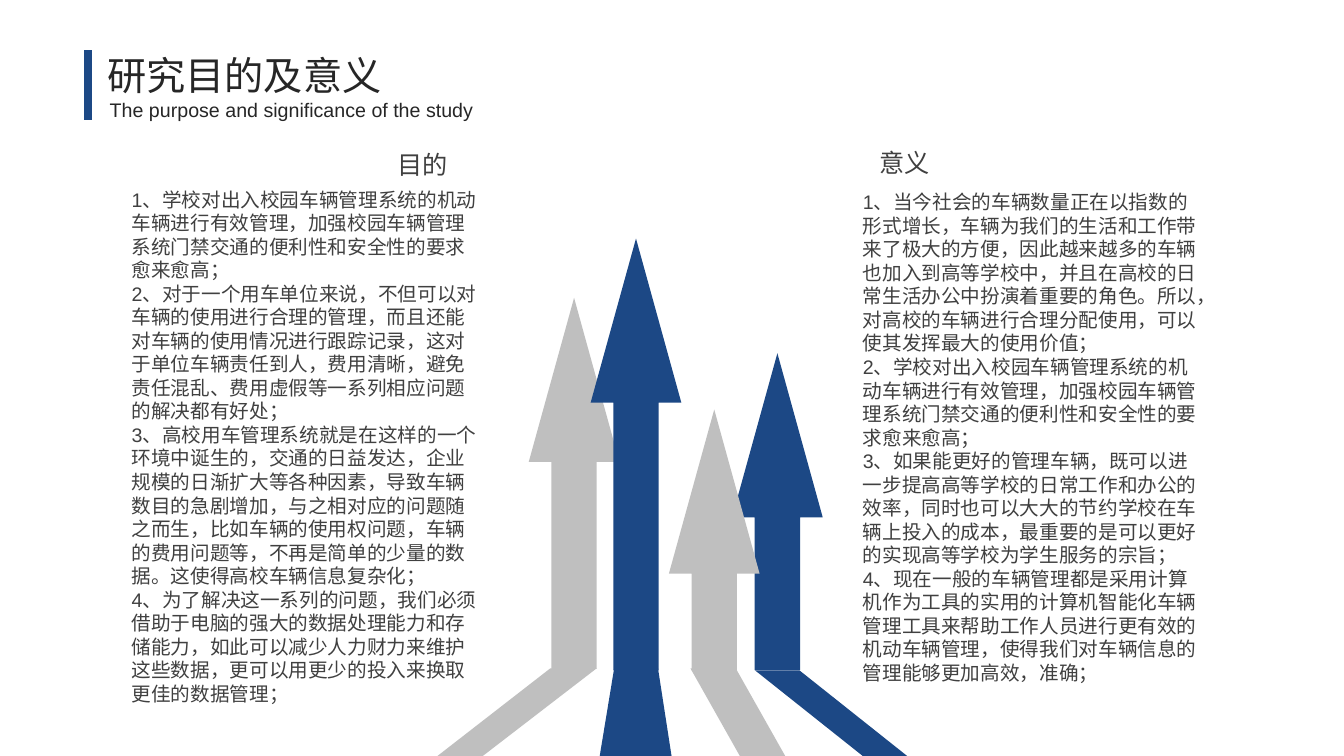
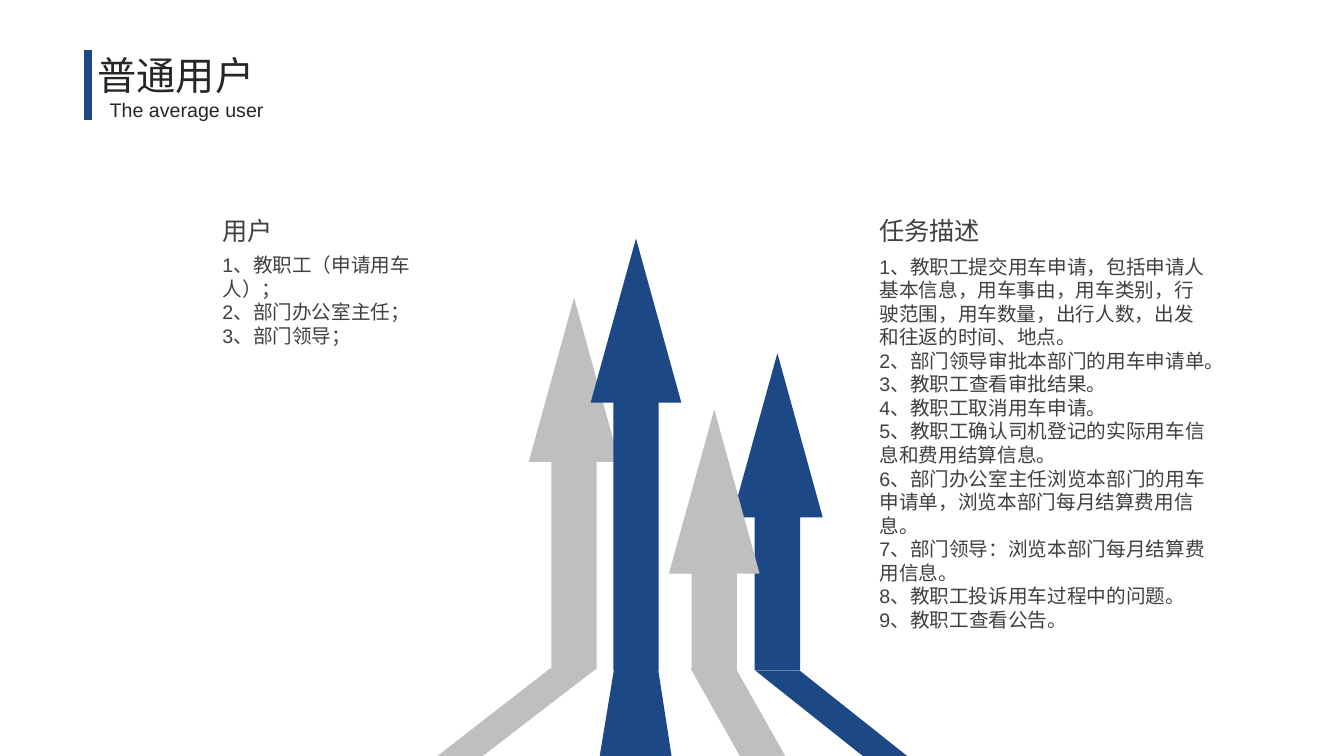
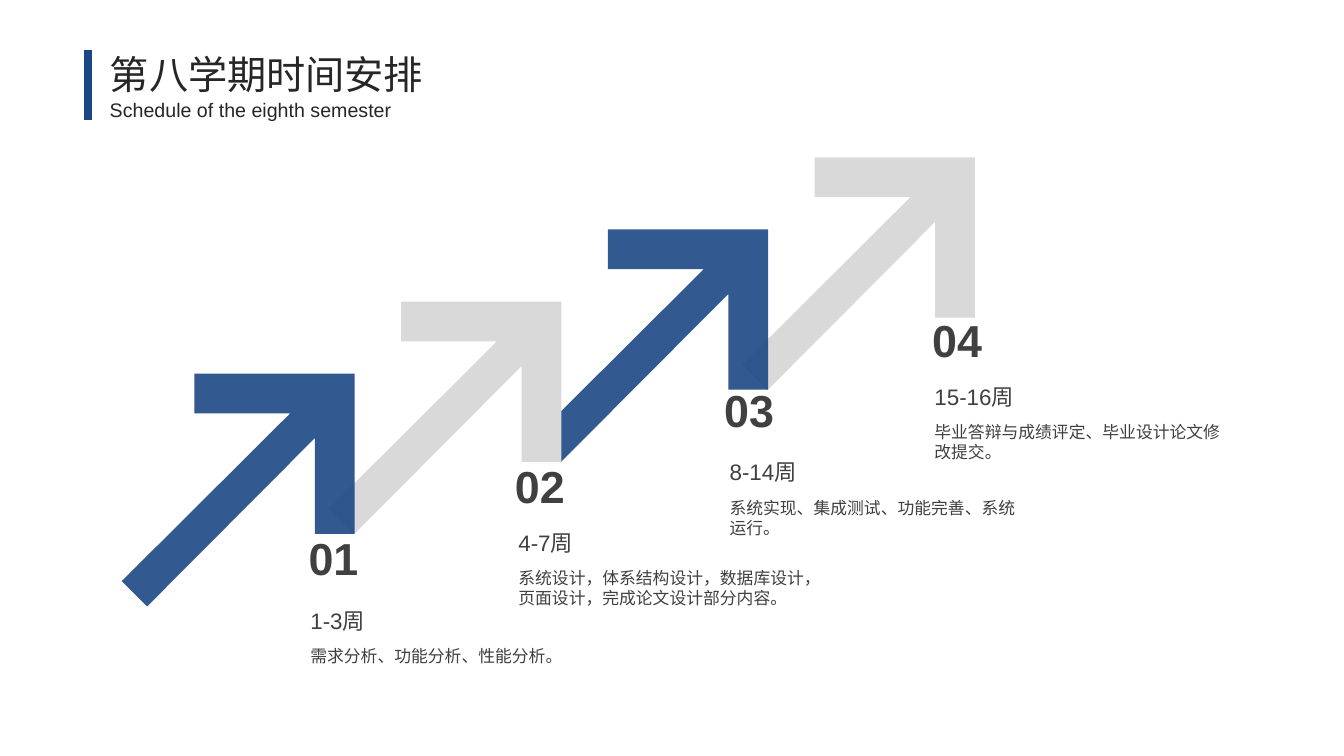
from math import cos, radians, sin
from lxml.etree import SubElement
from pptx import Presentation
from pptx.dml.color import RGBColor
from pptx.enum.shapes import MSO_CONNECTOR, MSO_SHAPE
from pptx.enum.text import MSO_ANCHOR, MSO_AUTO_SIZE, PP_ALIGN
from pptx.oxml.ns import qn
from pptx.util import Pt

FONT = "Arial"
BLUE, GREY, PALE = "1C4885", "BFBFBF", "D9D9D9"
INK, TEXT = "262626", "404040"
BOTTOM = 540

PAGES = [
    {
        "title": ("研究目的及意义", (62.6, 33.1, 223.9, 41), PP_ALIGN.CENTER),
        "sub": ("The purpose and significance of the study", 274.3),
        "columns": [
            {
                "head": ("目的", (151.9, 103.3), PP_ALIGN.RIGHT),
                "box": (86.8, 130.3, 263.5, 380.2),
                "items": [
                    "1、学校对出入校园车辆管理系统的机动车辆进行有效管理，加强校园车辆管理系统门禁交通的便利性和安全性的要求愈来愈高；",
                    "2、对于一个用车单位来说，不但可以对车辆的使用进行合理的管理，而且还能对车辆的使用情况进行跟踪记录，这对于单位车辆责任到人，费用清晰，避免责任混乱、费用虚假等一系列相应问题的解决都有好处；",
                    "3、高校用车管理系统就是在这样的一个环境中诞生的，交通的日益发达，企业规模的日渐扩大等各种因素，导致车辆数目的急剧增加，与之相对应的问题随之而生，比如车辆的使用权问题，车辆的费用问题等，不再是简单的少量的数据。这使得高校车辆信息复杂化；",
                    "4、为了解决这一系列的问题，我们必须借助于电脑的强大的数据处理能力和存储能力，如此可以减少人力财力来维护这些数据，更可以用更少的投入来换取更佳的数据管理；",
                ],
            },
            {
                "head": ("意义", (621, 101.5), PP_ALIGN.LEFT),
                "box": (609.1, 132.2, 260.6, 363.6),
                "items": [
                    "1、当今社会的车辆数量正在以指数的形式增长，车辆为我们的生活和工作带来了极大的方便，因此越来越多的车辆也加入到高等学校中，并且在高校的日常生活办公中扮演着重要的角色。所以，对高校的车辆进行合理分配使用，可以使其发挥最大的使用价值；",
                    "2、学校对出入校园车辆管理系统的机动车辆进行有效管理，加强校园车辆管理系统门禁交通的便利性和安全性的要求愈来愈高；",
                    "3、如果能更好的管理车辆，既可以进一步提高高等学校的日常工作和办公的效率，同时也可以大大的节约学校在车辆上投入的成本，最重要的是可以更好的实现高等学校为学生服务的宗旨；",
                    "4、现在一般的车辆管理都是采用计算机作为工具的实用的计算机智能化车辆管理工具来帮助工作人员进行更有效的机动车辆管理，使得我们对车辆信息的管理能够更加高效，准确；",
                ],
            },
        ],
    },
    {
        "title": ("普通用户", (62.6, 33.1, 283, 41), PP_ALIGN.LEFT),
        "sub": ("The average user", 177.1),
        "columns": [
            {
                "head": ("用户", (151.9, 150.5), PP_ALIGN.LEFT),
                "box": (151.7, 177.1, 175, 74.9),
                "items": ["1、教职工（申请用车人）；", "2、部门办公室主任；", "3、部门领导；"],
            },
            {
                "head": ("任务描述", (621, 150.5), PP_ALIGN.LEFT),
                "box": (621, 178.3, 248.4, 278.6),
                "items": [
                    "1、教职工提交用车申请，包括申请人基本信息，用车事由，用车类别，行驶范围，用车数量，出行人数，出发和往返的时间、地点。",
                    "2、部门领导审批本部门的用车申请单。",
                    "3、教职工查看审批结果。",
                    "4、教职工取消用车申请。",
                    "5、教职工确认司机登记的实际用车信息和费用结算信息。",
                    "6、部门办公室主任浏览本部门的用车申请单，浏览本部门每月结算费用信息。",
                    "7、部门领导：浏览本部门每月结算费用信息。",
                    "8、教职工投诉用车过程中的问题。",
                    "9、教职工查看公告。",
                ],
            },
        ],
    },
]
PLAN = {
    "title": ("第八学期时间安排", (71.3, 32.4, 249.8, 41), PP_ALIGN.LEFT),
    "sub": ("Schedule of the eighth semester", 238.3),
}
STEPS = [
    ("01", (213.3, 375.5), "1-3周", (214.6, 429.8), "需求分析、功能分析、性能分析。", 21.6),
    ("02", (360.7, 324), "4-7周", (363.2, 374.4), "系统设计，体系结构设计，数据库设计，页面设计，完成论文设计部分内容。", 36),
    ("03", (510.2, 270), "8-14周", (514.1, 324), "系统实现、集成测试、功能完善、系统运行。", 36),
    ("04", (658.8, 219.6), "15-16周", (660.4, 270), "毕业答辩与成绩评定、毕业设计论文修改提交。", 36),
]
RISERS = [
    (377.7, 212.7, 265, GREY),
    (522.9, 252.3, 226.3, BLUE),
    (477.8, 292.5, 186.5, GREY),
    (421.9, 170.4, 308.4, BLUE),
]
FEET = [
    (477.4, 393.1, 426.2, 344.9, 312.5, GREY),
    (478.8, 539.3, 571, 648, 616.3, BLUE),
    (474.5, 439.2, 469.6, 479.7, 428.4, BLUE),
    (477.4, 493.2, 525.6, 560.9, 528.5, GREY),
]
SIDE, BAND, ELBOW, NEAR, FAR = 114.5, 28.4, 46, 148.2, 166.3
ARROW = [
    (-SIDE, 0), (0, 0), (0, SIDE), (-BAND, SIDE), (-BAND, ELBOW + BAND - 6),
    (-NEAR, FAR), (-FAR, NEAR), (-ELBOW - BAND + 6, BAND), (-SIDE, BAND),
]
ARROW[4], ARROW[7] = (-BAND, ELBOW), (-ELBOW, BAND)
TIP, STRIDE, MIDDLE, TURN = (252.7, 267.1), (147.7, 51.5), 78.4, 135


def color(code):
    return RGBColor.from_string(code)


def paint(shape, code, alpha=100):
    shape.shadow.inherit = False
    shape.fill.solid()
    shape.fill.fore_color.rgb = color(code)
    shape.line.fill.background()
    if alpha < 100:
        tint = shape.fill._xPr.find(qn("a:solidFill"))[0]
        SubElement(tint, qn("a:alpha")).set("val", str(alpha * 1000))


def write(slide, lines, box, size=14, ink=TEXT, bold=False, align=PP_ALIGN.LEFT, holder=None):
    place = [Pt(v) for v in box]
    shape = holder or slide.shapes.add_textbox(*place)
    shape.left, shape.top, shape.width, shape.height = place
    frame = shape.text_frame
    frame.word_wrap = True
    frame.auto_size = MSO_AUTO_SIZE.SHAPE_TO_FIT_TEXT
    frame.vertical_anchor = MSO_ANCHOR.TOP
    frame.text = lines if isinstance(lines, str) else "\n".join(lines)
    for para in frame.paragraphs:
        para.alignment = align
        para.space_before = Pt(0)
        props = para._p.get_or_add_pPr()
        props.set("marL", "0")
        props.set("indent", "0")
        SubElement(props, qn("a:buNone"))
        for run in para.runs:
            font = run.font
            font.name, font.size, font.bold = FONT, Pt(size), bold
            font.color.rgb = color(ink)
            SubElement(run._r.get_or_add_rPr(), qn("a:ea")).set("typeface", FONT)


def outline(slide, points, code, alpha=100):
    spots = [(Pt(x), Pt(y)) for x, y in points]
    build = slide.shapes.build_freeform(*spots[0])
    build.add_line_segments(spots[1:], close=True)
    shape = build.convert_to_shape()
    paint(shape, code, alpha)
    return shape


def spin(points, center, angle):
    c, s = cos(radians(angle)), sin(radians(angle))
    cx, cy = center
    return [(cx + c * (x - cx) - s * (y - cy), cy + s * (x - cx) + c * (y - cy)) for x, y in points]


def start(deck, layout, page):
    slide = deck.slides.add_slide(deck.slide_layouts.get_by_name(layout))
    title, box, align = page["title"]
    write(slide, title, box, size=28, ink=INK, align=align, holder=slide.shapes.title)
    sub, width = page["sub"]
    write(slide, sub, (71.3, 66.2, width, 24.5), ink=INK, align=PP_ALIGN.JUSTIFY)
    bar = slide.shapes.add_connector(MSO_CONNECTOR.STRAIGHT, Pt(62.9), Pt(36), Pt(62.9), Pt(85.7))
    bar.line.color.rgb = color(BLUE)
    bar.line.width = Pt(6)
    SubElement(bar._element.spPr, qn("a:effectLst"))
    return slide


def compare(deck, page):
    slide = start(deck, "Two Content", page)
    for left, top, height, code in RISERS:
        arrow = slide.shapes.add_shape(MSO_SHAPE.UP_ARROW, Pt(left), Pt(top), Pt(64.8), Pt(height))
        arrow.adjustments[0], arrow.adjustments[1] = 0.5, 1.81
        paint(arrow, code)
    for top, a, b, c, d, code in FEET:
        outline(slide, [(a, top), (b, top), (c, BOTTOM), (d, BOTTOM)], code)
    for index, column in enumerate(page["columns"], 1):
        head, (left, top), align = column["head"]
        write(slide, head, (left, top, 175, 28.8), size=18, align=align)
        write(slide, column["items"], column["box"], holder=slide.placeholders[index])


def climb(deck):
    slide = start(deck, "Title Only", PLAN)
    for i in reversed(range(len(STEPS))):
        x, y = TIP[0] + i * STRIDE[0], TIP[1] - i * STRIDE[1]
        code, alpha = (PALE, 100) if i % 2 else (BLUE, 90)
        points = [(x + dx, y + dy) for dx, dy in ARROW]
        flat = spin(points, (x - MIDDLE, y + MIDDLE), -TURN)
        outline(slide, flat, code, alpha).rotation = TURN
    for number, spot, weeks, (left, top), task, height in STEPS:
        write(slide, number, (*spot, 58.3, 46.1), size=32, bold=True)
        write(slide, weeks, (left, top, 175, 26.6), size=16)
        write(slide, task, (left, top + 27.8, 225.4, height), size=12)


def main():
    deck = Presentation()
    deck.slide_width, deck.slide_height = Pt(960), Pt(BOTTOM)
    for page in PAGES:
        compare(deck, page)
    climb(deck)
    deck.save("out.pptx")


if __name__ == "__main__":
    main()
